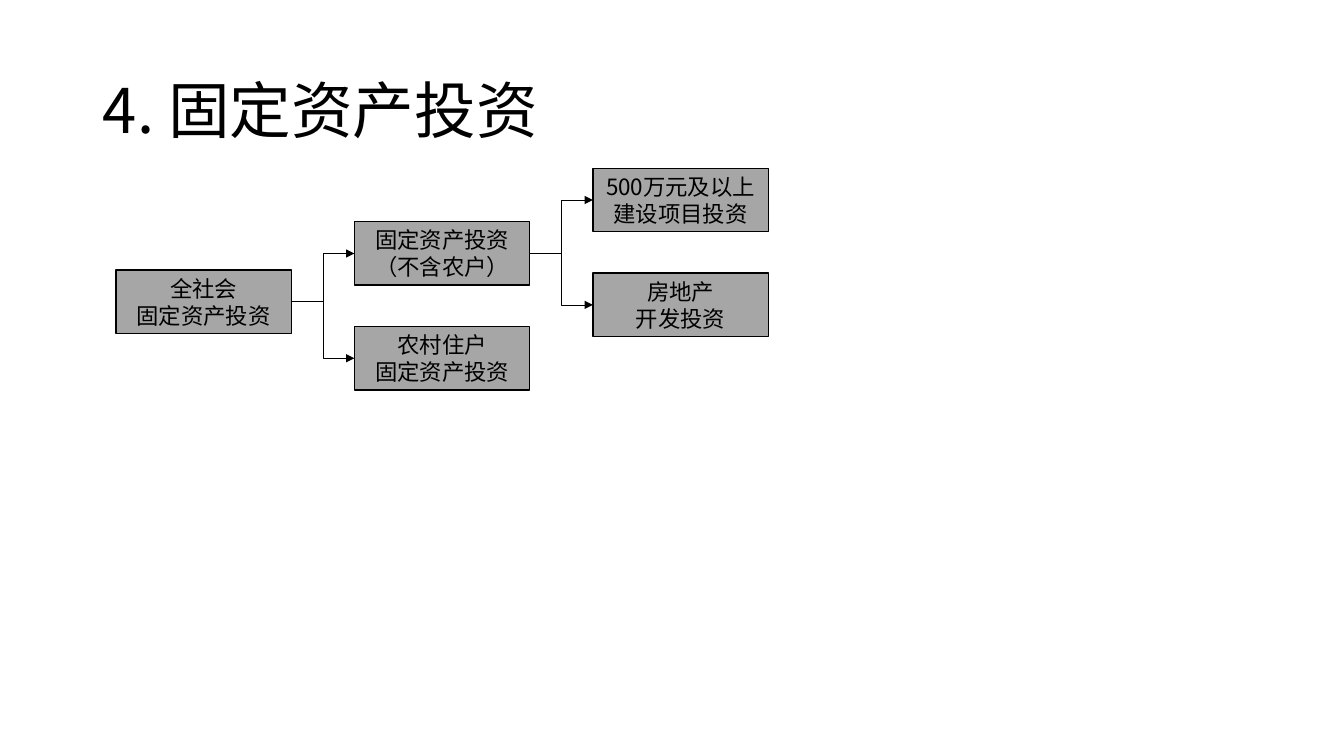
from lxml.etree import SubElement
from pptx import Presentation
from pptx.dml.color import RGBColor
from pptx.enum.shapes import MSO_CONNECTOR, MSO_SHAPE
from pptx.enum.text import MSO_ANCHOR, MSO_AUTO_SIZE, PP_ALIGN
from pptx.oxml.ns import qn
from pptx.util import Inches, Pt

BLACK = RGBColor(0x00, 0x00, 0x00)
GREY = RGBColor(0xA6, 0xA6, 0xA6)
FONT = "Noto Sans CJK SC"

BOX_WIDTH, BOX_HEIGHT = 1.74, 0.63
COLUMN_STEP = 2.365
RIGHT_SITE, LEFT_SITE = 3, 1

# name: (column, drop below the top of the chart, lines)
CATEGORIES = {
    "total": (0, 1.01, ["全社会", "固定资产投资"]),
    "non_farm": (1, 0.53, ["固定资产投资", "（不含农户）"]),
    "rural": (1, 1.57, ["农村住户", "固定资产投资"]),
    "projects": (2, 0, ["500万元及以上建设项目投资"]),
    "real_estate": (2, 1.04, ["房地产", "开发投资"]),
}
BRANCHES = {
    "total": ["non_farm", "rural"],
    "non_farm": ["projects", "real_estate"],
}


def write_lines(frame, lines, size, **paragraph_format):
    """Fill a text frame with one paragraph per line."""
    frame.word_wrap = True
    frame.auto_size = MSO_AUTO_SIZE.NONE
    frame.vertical_anchor = MSO_ANCHOR.MIDDLE
    for index, line in enumerate(lines):
        paragraph = frame.add_paragraph() if index else frame.paragraphs[0]
        for name, value in paragraph_format.items():
            setattr(paragraph, name, value)
        run = paragraph.add_run()
        run.text = line
        for name, value in {"size": Pt(size), "name": FONT}.items():
            setattr(run.font, name, value)
        run.font.color.rgb = BLACK
        SubElement(run.font._element, qn("a:ea"), typeface=FONT)


def add_title(slide, left, top, width, height):
    title = slide.shapes.title
    title.left, title.top = Inches(left), Inches(top)
    title.width, title.height = Inches(width), Inches(height)
    write_lines(title.text_frame, ["4. 固定资产投资"], 44,
                alignment=PP_ALIGN.LEFT, line_spacing=0.9)


def add_category(slide, left, top, lines):
    box = slide.shapes.add_shape(
        MSO_SHAPE.RECTANGLE, Inches(left), Inches(top),
        Inches(BOX_WIDTH), Inches(BOX_HEIGHT))
    box.shadow.inherit = False
    box.fill.solid()
    box.fill.fore_color.rgb = GREY
    box.line.color.rgb = BLACK
    box.line.width = Pt(1)
    frame = box.text_frame
    frame.margin_left = frame.margin_right = Inches(0.05)
    write_lines(frame, lines, 16, alignment=PP_ALIGN.CENTER)
    return box


def add_branch(slide, parent, child):
    """Draw an elbow arrow from the parent's right side to the child's left."""
    branch = slide.shapes.add_connector(MSO_CONNECTOR.ELBOW, 0, 0, 0, 0)
    branch.begin_connect(parent, RIGHT_SITE)
    branch.end_connect(child, LEFT_SITE)
    branch.line.color.rgb = BLACK
    branch.line.width = Pt(0.5)
    SubElement(branch.line._get_or_add_ln(), qn("a:tailEnd"), type="triangle")
    SubElement(branch._element.spPr, qn("a:effectLst"))


def add_investment_tree(slide, left, top):
    boxes = {
        name: add_category(slide, left + column * COLUMN_STEP, top + drop, lines)
        for name, (column, drop, lines) in CATEGORIES.items()
    }
    for parent, children in BRANCHES.items():
        for child in children:
            add_branch(slide, boxes[parent], boxes[child])


def main():
    deck = Presentation()
    deck.slide_width, deck.slide_height = Inches(13.33), Inches(7.5)
    slide = deck.slides.add_slide(deck.slide_layouts.get_by_name("Title Only"))
    add_title(slide, 0.92, 0.4, 11.5, 1.45)
    add_investment_tree(slide, 1.15, 1.67)
    deck.save("out.pptx")


if __name__ == "__main__":
    main()
